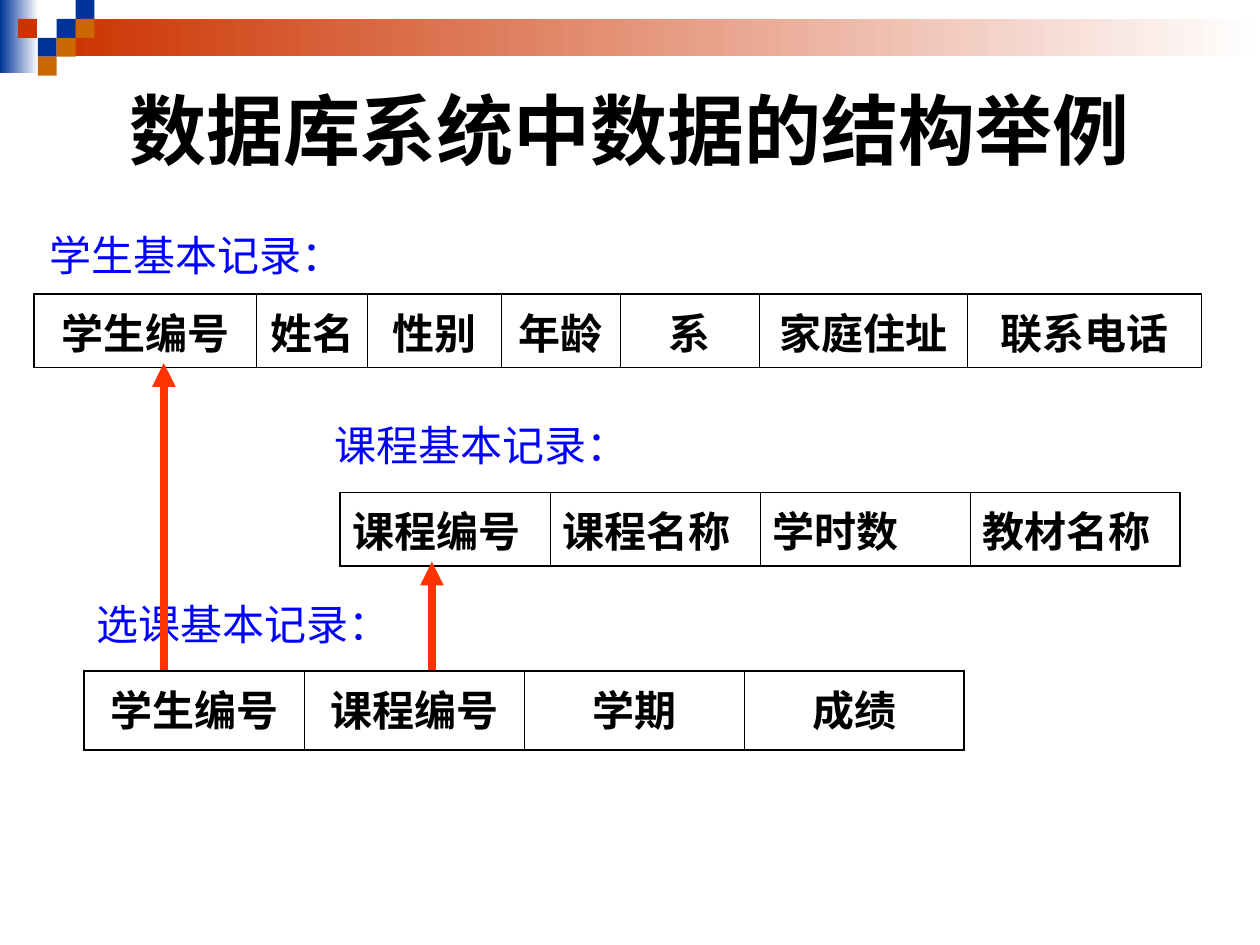
"""Builds a slide that links student, course and enrolment records."""
from lxml import etree
from pptx import Presentation
from pptx.dml.color import RGBColor
from pptx.enum import shapes, text
from pptx.oxml import ns
from pptx.util import Pt


def rgb(color):
    return RGBColor.from_string(color)


class Deck:
    font, ink, label_ink, arrow_ink = "Arial", "000000", "0000FF", "FF3300"
    size, thick, thin = 24, 1.08, 0.45

    def __init__(self, prs):
        self.s = prs.slides.add_slide(prs.slide_layouts[5])

    def run(self, p, words, size, color, bold):
        r = p.add_run()
        r.text = words
        r.font.name, r.font.size, r.font.bold = self.font, Pt(size), bold
        r.font.color.rgb = rgb(color)

    def rect(self, x, y, w, h, color, fade=False):
        sp = self.s.shapes.add_shape(shapes.MSO_SHAPE.RECTANGLE, Pt(x), Pt(y), Pt(w), Pt(h))
        sp.shadow.inherit = False
        sp.line.fill.background()
        if not fade:
            sp.fill.solid()
            sp.fill.fore_color.rgb = rgb(color)
            return
        sp.fill.gradient()
        sp.fill.gradient_angle = 0
        for stop, tone in zip(sp.fill.gradient_stops, (color, "FFFFFF")):
            stop.color.rgb = rgb(tone)

    def title(self, words, x, y, w, h):
        sp = self.s.shapes.title
        sp.left, sp.top, sp.width, sp.height = Pt(x), Pt(y), Pt(w), Pt(h)
        tf = sp.text_frame
        tf.vertical_anchor = text.MSO_ANCHOR.MIDDLE
        p = tf.paragraphs[0]
        p.alignment = text.PP_ALIGN.CENTER
        self.run(p, words, 44, self.ink, True)

    def label(self, words, x, y):
        tf = self.s.shapes.add_textbox(Pt(x), Pt(y), Pt(356), Pt(36)).text_frame
        tf.word_wrap = True
        self.run(tf.paragraphs[0], words, self.size, self.label_ink, False)

    def border(self, cell, side, width):
        ln = etree.SubElement(cell._tc.get_or_add_tcPr(), ns.qn(f"a:ln{side}"), w=str(Pt(width)))
        fill = etree.SubElement(ln, ns.qn("a:solidFill"))
        etree.SubElement(fill, ns.qn("a:srgbClr"), val=self.ink)

    def record(self, x, y, h, fields, widths, align=text.PP_ALIGN.CENTER):
        frame = self.s.shapes.add_table(1, len(fields), Pt(x), Pt(y), Pt(sum(widths)), Pt(h))
        table = frame.table
        table.first_row = table.horz_banding = False
        table.rows[0].height = Pt(h)
        last = len(fields) - 1
        for i, (field, width) in enumerate(zip(fields, widths)):
            table.columns[i].width = Pt(width)
            cell = table.cell(0, i)
            self.border(cell, "L", self.thin if i else self.thick)
            self.border(cell, "R", self.thin if i < last else self.thick)
            self.border(cell, "T", self.thick)
            self.border(cell, "B", self.thick)
            cell.fill.background()
            p = cell.text_frame.paragraphs[0]
            p.alignment = align
            self.run(p, field, self.size, self.ink, True)

    def arrow(self, x, start, end):
        c = self.s.shapes.add_connector(shapes.MSO_CONNECTOR.STRAIGHT, Pt(x), Pt(start), Pt(x), Pt(end))
        c.line.color.rgb = rgb(self.arrow_ink)
        c.line.width = Pt(4.5)
        etree.SubElement(c.line._get_or_add_ln(), ns.qn("a:tailEnd"), type="triangle")
        etree.SubElement(c._element.spPr, ns.qn("a:effectLst"))


def main():
    prs = Presentation()
    prs.slide_width, prs.slide_height = Pt(720), Pt(540)
    deck = Deck(prs)

    blue, orange, red, unit = "003399", "CC6600", "CC3300", 10.8
    deck.rect(0, 0, 22, 41.8, blue, fade=True)
    deck.rect(32.4, unit, 687.6, 21.4, red, fade=True)
    squares = [(3, 1, blue), (4, 0, blue), (4, 1, orange), (2, 2, blue),
               (0.95, 1, red), (3, 2, orange), (2, 3, orange)]
    for col, row, color in squares:
        deck.rect(col * unit, row * unit, unit, unit, color)

    deck.title("数据库系统中数据的结构举例", 36, 36, 648, 75.6)
    deck.record(19.6, 168, 42, ["学生编号", "姓名", "性别", "年龄", "系", "家庭住址", "联系电话"],
                [127, 63.5, 76.5, 68, 79.5, 119, 133.5])
    deck.record(194.4, 281.5, 42, ["课程编号", "课程名称", "学时数", "教材名称"],
                [120] * 4, text.PP_ALIGN.LEFT)
    deck.record(48.2, 383.6, 45, ["学生编号", "课程编号", "学期", "成绩"], [125.7] * 4)
    deck.label("学生基本记录：", 21, 127.4)
    deck.label("课程基本记录：", 184, 236)
    deck.label("选课基本记录：", 48, 338.4)
    deck.arrow(93.6, 383, 207.5)
    deck.arrow(246.8, 383, 321)
    prs.save("out.pptx")


if __name__ == "__main__":
    main()
